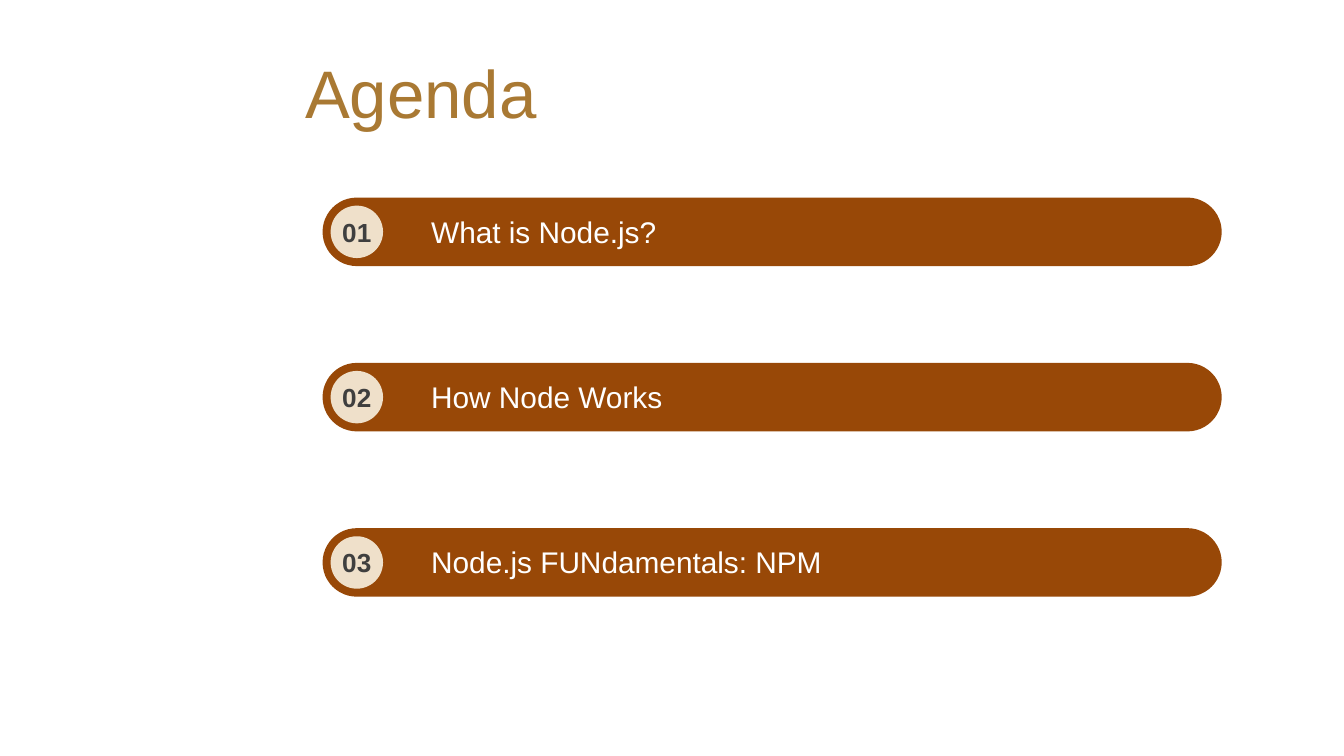
import dataclasses

import pptx
import pptx.dml.color
import pptx.enum.shapes
import pptx.enum.text
import pptx.util

SHAPE = pptx.enum.shapes.MSO_SHAPE
ALIGN = pptx.enum.text.PP_ALIGN
ANCHOR = pptx.enum.text.MSO_ANCHOR
RGB = pptx.dml.color.RGBColor.from_string


@dataclasses.dataclass(frozen=True)
class Theme:
    font: str = "Arial"
    title: str = "A97933"
    bar: str = "984807"
    badge: str = "EFE0CA"
    number: str = "3F3F3F"
    label: str = "FFFFFF"
    title_size: int = 36
    label_size: int = 16
    number_size: int = 14


THEME = Theme()
WIDTH = 10
HEIGHT = WIDTH * 9 / 16
TOPICS = ["What is Node.js?", "How Node Works", "Node.js FUNdamentals: NPM"]

# Agenda grid: one row per topic
ROW_LEFT, ROW_TOP = 2.4, 1.47
ROW_WIDTH, ROW_HEIGHT, ROW_PITCH = 6.69, 0.51, 1.23


def inches(box):
    return [pptx.util.Inches(length) for length in box]


def write(shape, text, size, color, align=ALIGN.LEFT, bold=False):
    shape.text_frame.word_wrap = True
    para = shape.text_frame.paragraphs[0]
    para.text = text
    para.alignment = align
    para.font.name = THEME.font
    para.font.size = pptx.util.Pt(size)
    para.font.bold = bold
    para.font.color.rgb = RGB(color)


def add_filled(page, kind, box, color):
    shape = page.shapes.add_shape(kind, *inches(box))
    shape.shadow.inherit = False
    shape.fill.solid()
    shape.fill.fore_color.rgb = RGB(color)
    shape.line.fill.background()
    return shape


def add_title(page, box, text):
    title = page.shapes.title
    title.left, title.top, title.width, title.height = inches(box)
    title.text_frame.vertical_anchor = ANCHOR.MIDDLE
    write(title, text, THEME.title_size, THEME.title)


def add_topic(page, box, number, topic):
    left, top, width, height = box

    # Pill-shaped bar
    bar = add_filled(page, SHAPE.ROUNDED_RECTANGLE, box, THEME.bar)
    bar.adjustments[0] = 0.5

    # Round badge, inset evenly at the left end
    inset = 0.06
    side = height - 2 * inset
    add_filled(page, SHAPE.OVAL, (left + inset, top + inset, side, side), THEME.badge)

    # Topic and number
    label = page.shapes.add_textbox(*inches((left + 0.71, top + 0.07, width - 1.38, 0.37)))
    write(label, topic, THEME.label_size, THEME.label)
    caption = page.shapes.add_textbox(*inches((left + 0.03, top + 0.09, 0.45, 0.34)))
    write(caption, f"{number:02d}", THEME.number_size, THEME.number, ALIGN.CENTER, True)


def add_agenda(page, box):
    left, top, width, height = box
    for index, topic in enumerate(TOPICS):
        add_topic(page, (left, top + index * ROW_PITCH, width, height), index + 1, topic)


def main():
    deck = pptx.Presentation()
    deck.slide_width, deck.slide_height = inches((WIDTH, HEIGHT))
    page = deck.slides.add_slide(deck.slide_layouts.get_by_name("Title Only"))
    add_title(page, (2.17, 0.37, WIDTH - 2.17, 0.63), "Agenda")
    add_agenda(page, (ROW_LEFT, ROW_TOP, ROW_WIDTH, ROW_HEIGHT))
    deck.save("out.pptx")


if __name__ == "__main__":
    main()
